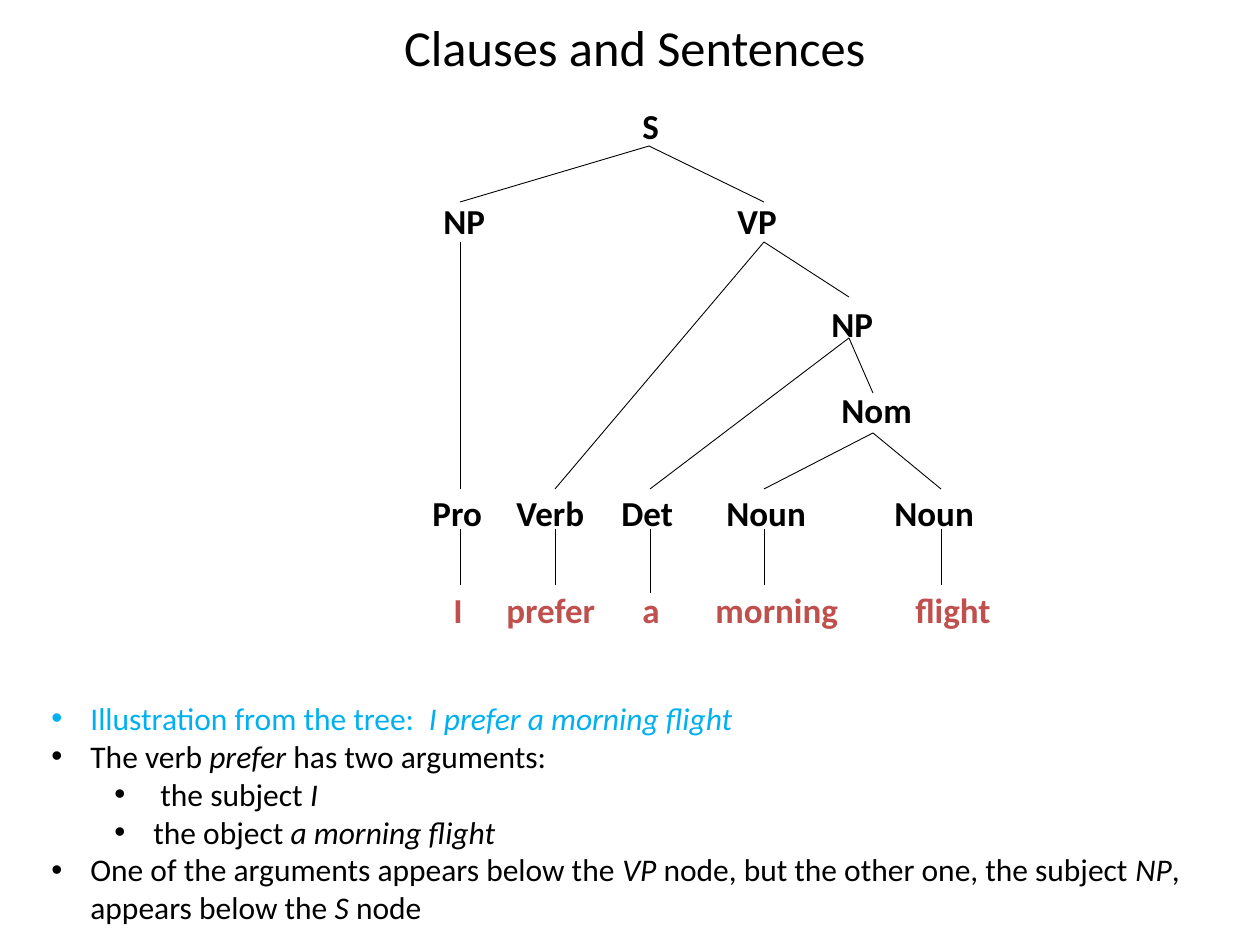
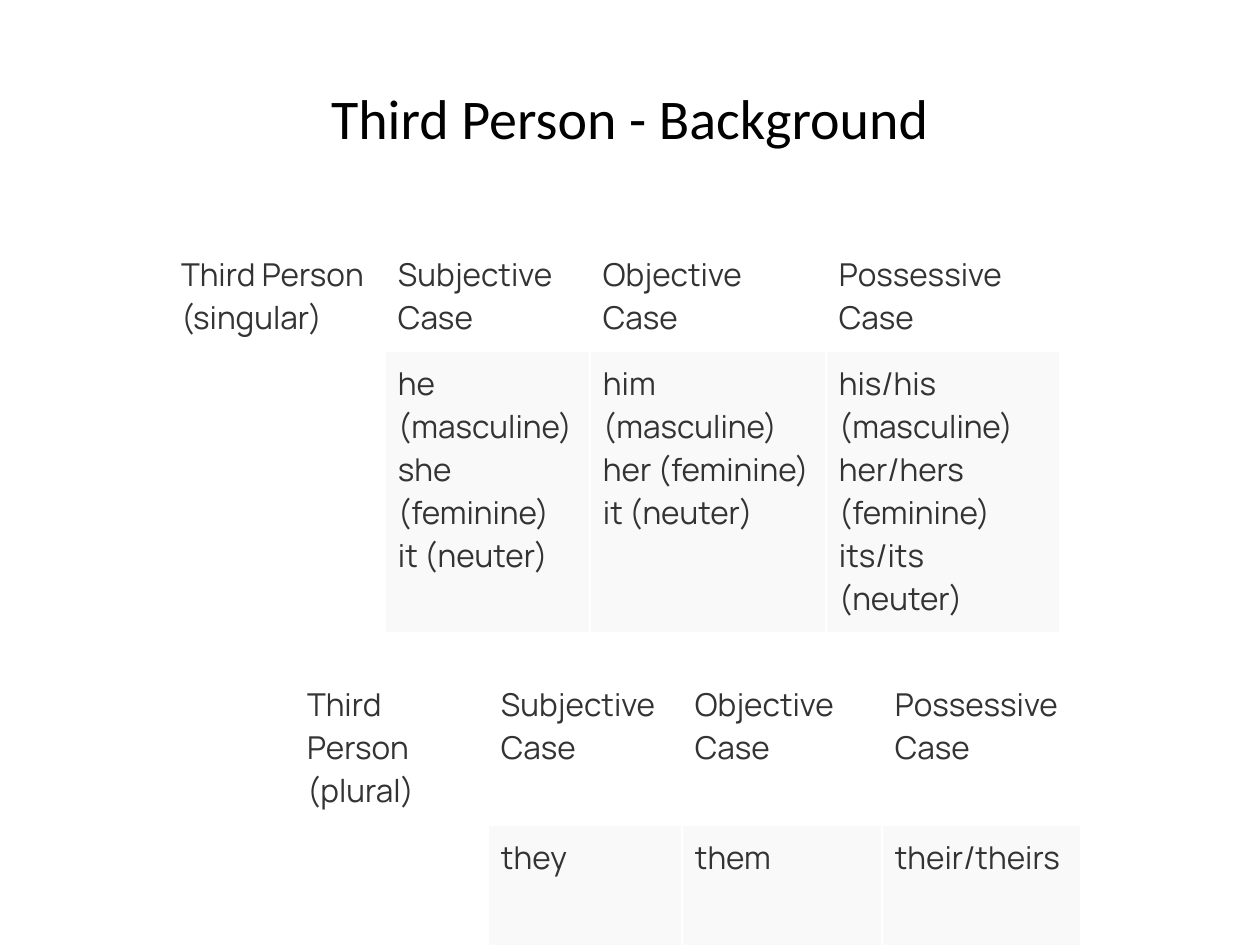
from lxml.etree import SubElement
from pptx import Presentation
from pptx.dml.color import RGBColor
from pptx.enum.shapes import MSO_CONNECTOR
from pptx.enum.text import MSO_ANCHOR, PP_ALIGN
from pptx.oxml.ns import qn
from pptx.util import Emu, Pt

THEME = {
    "text": "000000", "word": "C0504D", "lead": "00B0F0",
    "cell": "333333", "head": "FFFFFF", "body": "F9F9F9",
    "main": "Calibri", "grid": "Manrope",
    "label": 20, "list": 18, "table": 18, "line": 0.5,
}

TITLES = [
    ("Clauses and Sentences", (68, 10, 1134, 73), 28.8),
    ("Third Person - Background", (63, 38, 1134, 158), 32),
]

LEVELS = [(98, 0, 146), (193, 202, 242), (296, 297, 338),
          (382, 393, 433), (485, 489, 529), (582, 585, 0), (582, 593, 0)]

NODES = {
    "s": ("S", None, 0, 649, 630, 39),
    "subj": ("NP", "s", 1, 460, 431, 84),
    "vp": ("VP", "s", 1, 764, 725, 84),
    "obj": ("NP", "vp", 2, 849, 819, 84),
    "nom": ("Nom", "obj", 3, 873, 829, 116),
    "pro": ("Pro", "subj", 4, 460, 420, 84),
    "verb": ("Verb", "vp", 4, 555, 504, 105),
    "det": ("Det", "obj", 4, 650, 609, 84),
    "noun1": ("Noun", "nom", 4, 764, 714, 116),
    "noun2": ("Noun", "nom", 4, 941, 882, 116),
    "i": ("I", "pro", 5, 460, 441, 42),
    "prefer": ("prefer", "verb", 5, 555, 494, 136),
    "a": ("a", "det", 6, 650, 630, 42),
    "morning": ("morning", "noun1", 5, 764, 703, 158),
    "flight": ("flight", "noun2", 5, 941, 903, 126),
}

POINTS = [
    (0, "lead", "Illustration from the tree:  *I prefer a morning flight"),
    (0, "text", "The verb *prefer *has two arguments:"),
    (1, "text", " the subject *I"),
    (1, "text", "the object *a morning flight"),
    (0, "text", "One of the arguments appears below the *VP *node, but the "
                "other one, the subject *NP*, appears below the *S *node"),
]

CASES = ["Subjective Case", "Objective Case", "Possessive Case"]
TABLES = [
    ((168, 242), (217, 205, 236, 234), (109, 282), [
        ["Third Person\n(singular)"] + CASES,
        ["",
         "he (masculine)\nshe (feminine)\nit (neuter)",
         "him (masculine)\nher (feminine)\nit (neuter)",
         "his/his (masculine)\nher/hers (feminine)\nits/its (neuter)"]]),
    ((294, 672), (194, 194, 200, 199), (153, 120), [
        ["Third Person\n(plural)"] + CASES,
        ["", "they", "them", "their/theirs"]]),
]


def px(n):
    return Emu(round(n * 914400 / 126))


def tint(name):
    return RGBColor.from_string(THEME[name])


def style(para, size, color="text", face="main", bold=False):
    font = para.font
    font.name, font.size, font.bold = THEME[face], Pt(size), bold
    font.color.rgb = tint(color)


def add_box(shapes, area):
    frame = shapes.add_textbox(*map(px, area)).text_frame
    frame.word_wrap = True
    return frame


def add_title(slide, text, area, size):
    frame = add_box(slide.shapes, area)
    frame.vertical_anchor = MSO_ANCHOR.MIDDLE
    para = frame.paragraphs[0]
    para.text = text
    para.alignment = PP_ALIGN.CENTER
    style(para, size)


def add_branch(shapes, *ends):
    line = shapes.add_connector(MSO_CONNECTOR.STRAIGHT, *map(px, ends))
    line.line.color.rgb = tint("text")
    line.line.width = Pt(THEME["line"])
    SubElement(line._element.spPr, qn("a:effectLst"))


def add_tree(slide):
    shapes = slide.shapes.add_group_shape().shapes
    for text, root, level, stem, left, wide in NODES.values():
        top, join, _ = LEVELS[level]
        if root:
            _, _, up, start, _, _ = NODES[root]
            add_branch(shapes, start, LEVELS[up][2], stem, join)
        para = add_box(shapes, (left, top, wide, 54)).paragraphs[0]
        para.text = text
        style(para, THEME["label"], "word" if level > 4 else "text", bold=True)


def add_list(slide):
    frame = add_box(slide.shapes, (39, 693, 1192, 242))
    for n, (depth, color, text) in enumerate(POINTS):
        para = frame.add_paragraph() if n else frame.paragraphs[0]
        para.level = depth
        for k, part in enumerate(text.split("*")):
            run = para.add_run()
            run.text = part
            run.font.italic = k % 2 == 1
        props = para._p.get_or_add_pPr()
        props.set("marL", str(px(39 + 63 * depth)))
        props.set("indent", str(-px(39)))
        SubElement(props, qn("a:buFont")).set("typeface", "Arial")
        SubElement(props, qn("a:buChar")).set("char", "•")
        style(para, THEME["list"], color)


def add_grid(slide, spot, cols, rows, data):
    area = (*spot, sum(cols), sum(rows))
    table = slide.shapes.add_table(
        len(rows), len(cols), *map(px, area)).table
    table.first_row = table.horz_banding = False
    for col, wide in zip(table.columns, cols):
        col.width = px(wide)
    for r, (row, tall) in enumerate(zip(table.rows, rows)):
        row.height = px(tall)
        for c, (cell, text) in enumerate(zip(row.cells, data[r])):
            cell.margin_left = cell.margin_right = px(13)
            cell.margin_top = cell.margin_bottom = px(11)
            cell.fill.solid()
            cell.fill.fore_color.rgb = tint("body" if r and c else "head")
            cell.text = text
            for para in cell.text_frame.paragraphs:
                style(para, THEME["table"], "cell", "grid")
    table.cell(0, 0).merge(table.cell(1, 0))


def main():
    deck = Presentation()
    deck.slide_width, deck.slide_height = px(1260), px(945)
    slides = []
    for title in TITLES:
        slide = deck.slides.add_slide(deck.slide_layouts[6])
        add_title(slide, *title)
        slides.append(slide)
    add_tree(slides[0])
    add_list(slides[0])
    for grid in TABLES:
        add_grid(slides[1], *grid)
    deck.save("out.pptx")


if __name__ == "__main__":
    main()
